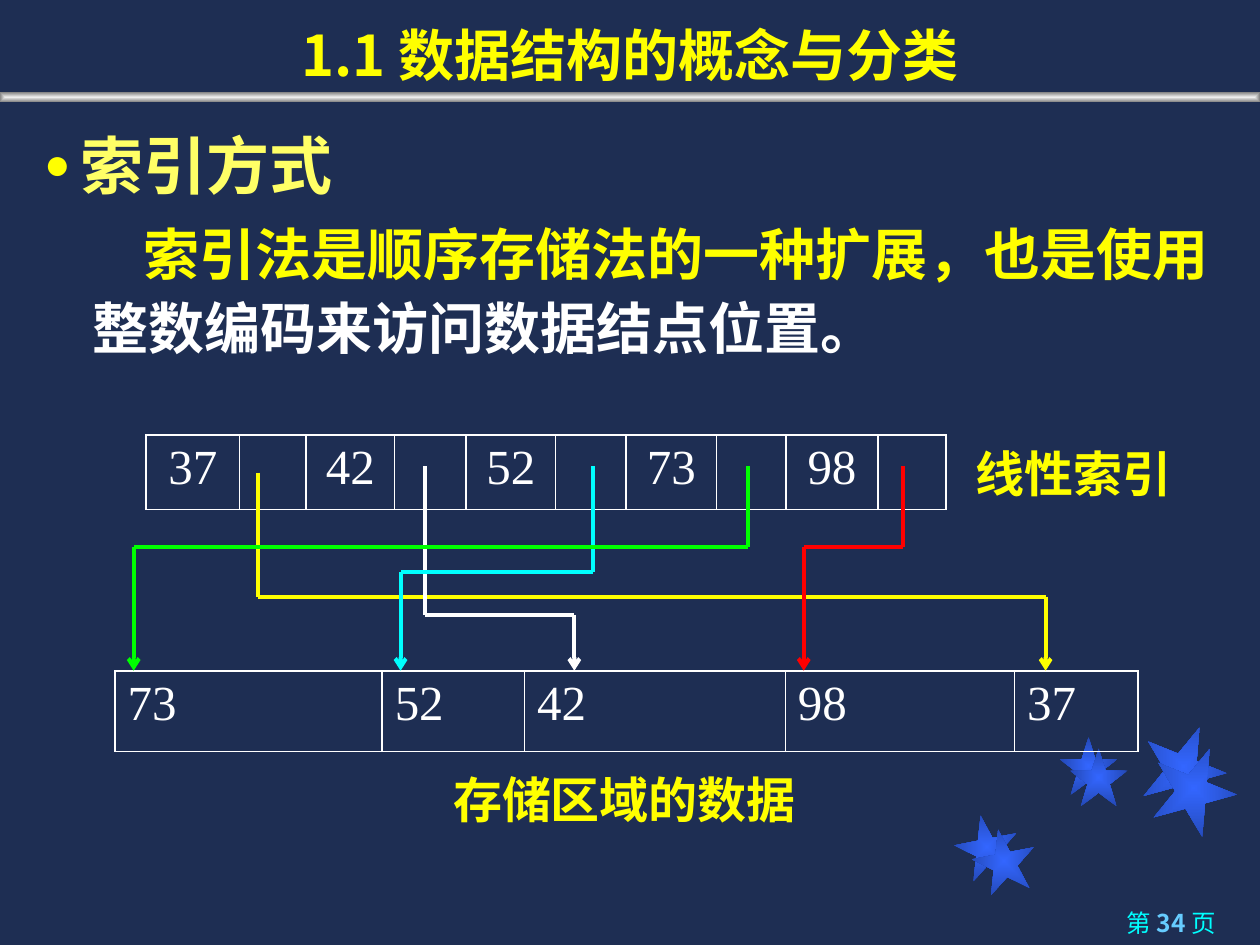
from dataclasses import dataclass
from itertools import pairwise

from pptx import Presentation
from pptx.dml.color import RGBColor
from pptx.enum.shapes import MSO_CONNECTOR as Connector, MSO_SHAPE as Preset
from pptx.enum.text import MSO_ANCHOR as Anchor, MSO_AUTO_SIZE as AutoSize, PP_ALIGN as Align
from pptx.oxml import parse_xml
from pptx.oxml.ns import nsdecls, qn
from pptx.oxml.xmlchemy import OxmlElement
from pptx.util import Pt

COLORS = {
    "navy": "1E2E53", "yellow": "FFFF00", "pale": "FFFF66", "white": "FFFFFF",
    "cyan": "00FFFF", "sky": "66CCFF", "green": "00FF00", "red": "FF0000",
    "star": "3366FF", "star_edge": "2449B6", "silver": "EDEDED", "gray": "808080",
}
CJK = "Noto Sans CJK SC"
SERIF = "Times New Roman"
SANS = "Arial"


@dataclass
class Star:
    left: float
    top: float
    size: float
    rotation: float = 0


@dataclass
class Strip:
    left: float
    top: float
    height: float
    widths: list[float]
    values: list[str]
    align: Align


@dataclass
class Link:
    color: str
    start_x: float
    bend_y: float
    end_x: float
    start_y: float = 266.4


STARS = [
    Star(545.8, 465.8, 36, 349), Star(605.5, 421.2, 33.1), Star(652.3, 414, 48.2, 22),
    Star(555.8, 473.8, 36, 349), Star(611.3, 427.7, 33.1), Star(658.1, 426.2, 48.2, 22),
]
INDEX = Strip(83.5, 248.5, 42.5,
              [53.3, 38.2, 50.4, 41, 51.1, 40.3, 51.8, 39.6, 52.6, 38.9],
              ["37", "", "42", "", "52", "", "73", "", "98", ""], Align.CENTER)
STORAGE = Strip(65.8, 383.3, 46.1, [152.6, 81.4, 149, 131, 70.6],
                ["73", "52", "42", "98", "37"], Align.LEFT)
LINKS = [
    Link("yellow", 147.5, 341, 597.5, 270),
    Link("white", 243, 351.4, 328.2),
    Link("cyan", 338.6, 326.9, 228.9),
    Link("green", 427.5, 312.5, 76.4),
    Link("red", 515.8, 312.5, 459.3),
]


def rgb(name: str) -> RGBColor:
    return RGBColor.from_string(COLORS[name])


def write(para, text: str, *, size: float, color: str, font: str = CJK, bold: bool = False):
    """Add one formatted run, with the East Asian font set as well."""
    span = para.add_run()
    span.text = text
    span.font.size = Pt(size)
    span.font.bold = bold
    span.font.name = font
    span.font.color.rgb = rgb(color)
    east = OxmlElement("a:ea")
    east.set("typeface", CJK)
    span.font._element.find(qn("a:latin")).addnext(east)


def place(shape, left: float, top: float, width: float, height: float):
    shape.left, shape.top, shape.width, shape.height = map(Pt, (left, top, width, height))


def set_frame(shape, anchor: Anchor):
    frame = shape.text_frame
    frame.word_wrap = True
    frame.auto_size = AutoSize.NONE
    frame.vertical_anchor = anchor
    return frame


def add_label(page, left: float, top: float, width: float, height: float, align: Align):
    box = page.shapes.add_textbox(*map(Pt, (left, top, width, height)))
    para = set_frame(box, Anchor.MIDDLE).paragraphs[0]
    para.alignment = align
    return para


def add_glow(page, preset: Preset, left: float, top: float, width: float, height: float,
             center: str, edge: str):
    """Add a borderless shape whose gradient runs from its center to its outline."""
    shape = page.shapes.add_shape(preset, *map(Pt, (left, top, width, height)))
    shape.shadow.inherit = False
    shape.line.fill.background()
    shape.fill.gradient()
    for stop, color in zip(shape.fill.gradient_stops, (center, edge)):
        stop.color.rgb = rgb(color)
    gradient = shape._element.spPr.find(qn("a:gradFill"))
    gradient.replace(gradient.find(qn("a:lin")), parse_xml(
        f'<a:path {nsdecls("a")} path="shape">'
        '<a:fillToRect l="50000" t="50000" r="50000" b="50000"/></a:path>'))
    return shape


def add_strip(page, strip: Strip):
    frame = page.shapes.add_table(1, len(strip.widths), *map(
        Pt, (strip.left, strip.top, sum(strip.widths), strip.height)))
    table = frame.table
    table.first_row = table.horz_banding = False
    table.rows[0].height = Pt(strip.height)
    for column, width, cell, value in zip(
            table.columns, strip.widths, table.rows[0].cells, strip.values):
        column.width = Pt(width)
        properties = cell._tc.get_or_add_tcPr()
        for side in "LRTB":
            properties.append(parse_xml(
                f'<a:ln{side} {nsdecls("a")} w="{Pt(1)}"><a:solidFill>'
                f'<a:srgbClr val="{COLORS["white"]}"/></a:solidFill></a:ln{side}>'))
        cell.fill.background()
        para = cell.text_frame.paragraphs[0]
        para.alignment = strip.align
        if value:
            write(para, value, size=28, color="white", font=SERIF)


def add_link(page, link: Link):
    """Draw a pointer: down, across, and down to the storage strip."""
    points = [(link.start_x, link.start_y), (link.start_x, link.bend_y),
              (link.end_x, link.bend_y), (link.end_x, STORAGE.top)]
    for start, end in pairwise(points):
        line = page.shapes.add_connector(Connector.STRAIGHT, *map(Pt, start + end))
        line.line.color.rgb = rgb(link.color)
        line.line.width = Pt(2.25)
        line._element.spPr.append(OxmlElement("a:effectLst"))
    arrow = OxmlElement("a:tailEnd")
    arrow.set("type", "arrow")
    line.line._get_or_add_ln().append(arrow)


def set_list_format(para, margin: float, indent: float, bullet_xml: str):
    properties = para._p.get_or_add_pPr()
    properties.set("marL", str(Pt(margin)))
    properties.set("indent", str(Pt(indent)))
    wrapper = parse_xml(f'<a:pPr {nsdecls("a")}>{bullet_xml}</a:pPr>')
    for item in list(wrapper):
        properties.append(item)


def main():
    deck = Presentation()
    deck.slide_width, deck.slide_height = Pt(720), Pt(540)
    page = deck.slides.add_slide(deck.slide_layouts[1])
    page.background.fill.solid()
    page.background.fill.fore_color.rgb = rgb("navy")

    # Decoration: stars and the bar under the title
    for star in STARS:
        shape = add_glow(page, Preset.STAR_5_POINT, star.left, star.top, star.size, star.size,
                         "star", "star_edge")
        shape.rotation = star.rotation
    add_glow(page, Preset.RECTANGLE, 0, 52.6, 720, 5.8, "silver", "gray")

    # Title
    title = page.shapes.title
    place(title, 0, 0, 720, 54)
    para = set_frame(title, Anchor.BOTTOM).paragraphs[0]
    para.alignment = Align.CENTER
    write(para, "1.1 数据结构的概念与分类", size=32, color="yellow", bold=True)

    # Body: heading and explanation
    body = page.placeholders[1]
    place(body, 18, 67.7, 685.4, 141.8)
    frame = set_frame(body, Anchor.TOP)
    heading, detail = frame.paragraphs[0], frame.add_paragraph()
    heading.line_spacing, heading.space_before = Pt(44), Pt(5)
    set_list_format(heading, 21, -21,
                    f'<a:buClr><a:srgbClr val="{COLORS["yellow"]}"/></a:buClr>'
                    '<a:buSzPct val="70000"/><a:buChar char="●"/>')
    write(heading, "索引方式", size=36, color="pale", font=SANS, bold=True)
    detail.line_spacing, detail.space_before = Pt(42.3), Pt(6.4)
    set_list_format(detail, 27.4, 29.5, "<a:buNone/>")
    for text, color in (("索引法是顺序存储法的一种扩展，也是使用", "yellow"),
                        ("整数编码来访问数据结点位置。", "white")):
        write(detail, text, size=32, color=color, font=SANS, bold=True)

    # Index and storage strips with their labels
    add_strip(page, INDEX)
    add_strip(page, STORAGE)
    for text, left, top, width in (("线性索引", 547.9, 249.8, 131),
                                   ("存储区域的数据", 193.7, 436.3, 326.2)):
        para = add_label(page, left, top, width, 41, Align.CENTER)
        write(para, text, size=28, color="yellow", font=SERIF, bold=True)

    # Pointers from index to storage
    for link in LINKS:
        add_link(page, link)

    # Page number
    para = add_label(page, 512.6, 514, 189.4, 26, Align.RIGHT)
    write(para, "第 ", size=14, color="cyan")
    write(para, "34 ", size=14, color="sky", bold=True)
    write(para, "页", size=14, color="cyan")

    deck.save("out.pptx")


if __name__ == "__main__":
    main()
